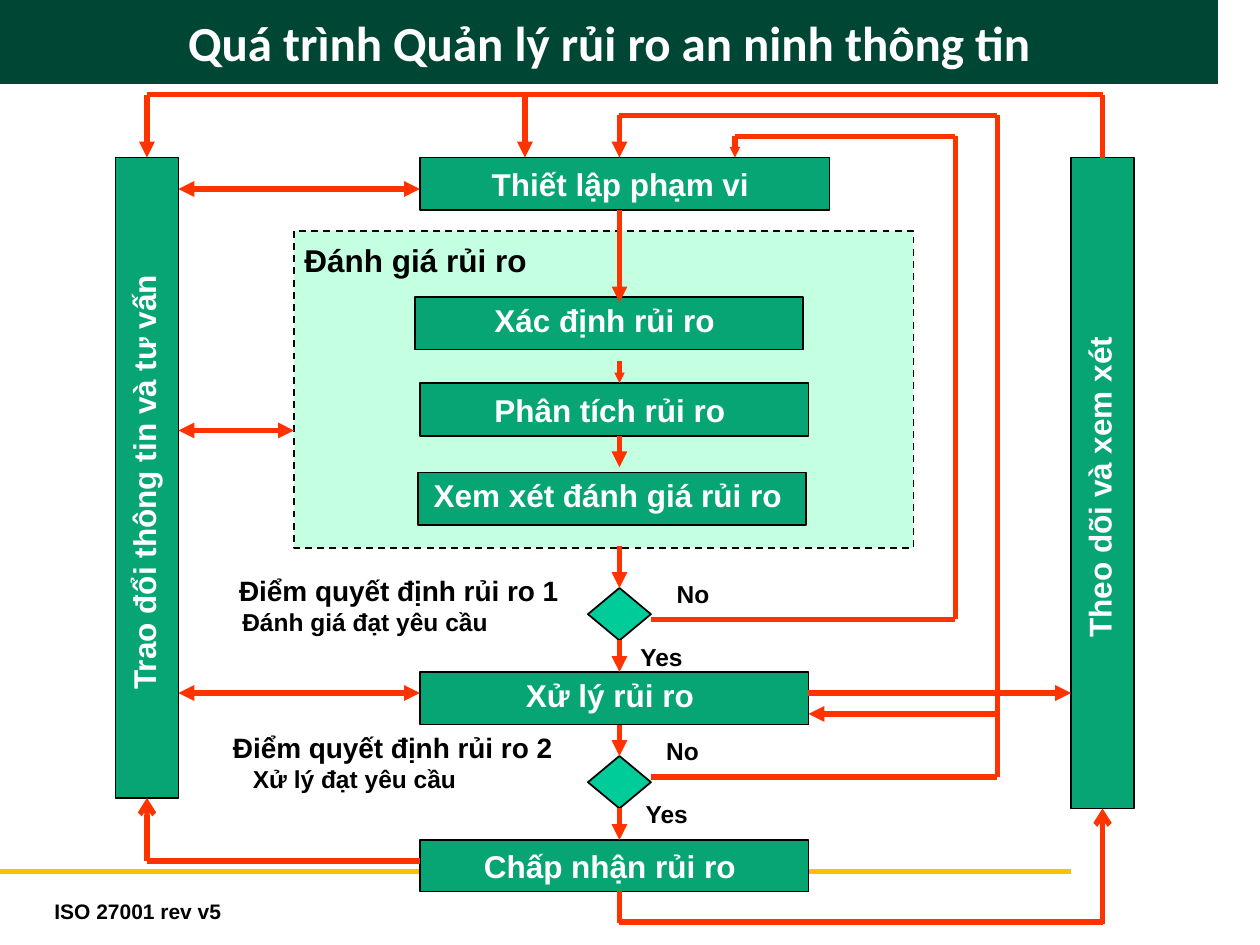
from collections import namedtuple

from pptx import Presentation
from pptx import util as u
from pptx.dml.color import RGBColor
from pptx.enum import dml, shapes, text
from pptx.oxml import xmlchemy

SCALE = u.Inches(1) // 120  # 120 px to the inch
GREEN, RED, BLACK, WHITE = "07A574", "FF3300", "000000", "FFFFFF"
TOP, LEFT, BOTTOM, RIGHT = range(4)
CENTER, START = text.PP_ALIGN.CENTER, text.PP_ALIGN.LEFT

Box = namedtuple("Box", "x y w h")


def px(value):
    return u.Emu(round(value * SCALE))


def color(hex_string):
    return RGBColor.from_string(hex_string)


def inside(box, dx, dy, w, h):
    return Box(box.x + dx, box.y + dy, w, h)


def write(shape, lines, align=CENTER, hue=BLACK, font="Arial", wrap=False,
          anchor=text.MSO_ANCHOR.MIDDLE, spacing=None, tight=False):
    """Each line is (wording, point size); tight text has no insets."""
    frame = shape.text_frame
    frame.word_wrap = wrap
    frame.vertical_anchor = anchor
    if tight:
        frame.margin_left = frame.margin_right = 0
        frame.margin_top = frame.margin_bottom = 0
    for i, (wording, size) in enumerate(lines):
        paragraph = frame.add_paragraph() if i else frame.paragraphs[0]
        paragraph.alignment = align
        paragraph.line_spacing = spacing
        run = paragraph.add_run()
        run.text = wording
        run.font.size, run.font.bold, run.font.name = u.Pt(size), True, font
        run.font.color.rgb = color(hue)
    return frame


def shape_in(slide, box, fill, kind="RECTANGLE", outline=BLACK):
    shape = slide.shapes.add_shape(shapes.MSO_SHAPE[kind], *map(px, box))
    shape.shadow.inherit = False
    shape.fill.solid()
    shape.fill.fore_color.rgb = color(fill)
    if outline:
        shape.line.color.rgb = color(outline)
        shape.line.width = u.Pt(1)
    else:
        shape.line.fill.background()
    return shape


def label(slide, box, lines, **style):
    holder = slide.shapes.add_textbox(*map(px, box))
    return write(holder, lines, **style)


def line(slide, box, start, end, head=None, tail=None, hue=RED,
         begin_at=None, end_at=None, small=False):
    """begin_at and end_at are (shape, site); ends keep the given points."""
    ends = [px(v) for v in (box.x + start[0], box.y + start[1],
                            box.x + end[0], box.y + end[1])]
    link = slide.shapes.add_connector(shapes.MSO_CONNECTOR.STRAIGHT, *ends)
    link.line.color.rgb = color(hue)
    link.line.width = u.Pt(3)
    properties = link._element.spPr
    for tag, arrow in (("a:headEnd", head), ("a:tailEnd", tail)):
        if arrow:
            mark = xmlchemy.OxmlElement(tag)
            mark.set("type", arrow)
            if small:
                mark.set("w", "sm")
                mark.set("len", "sm")
            properties.get_or_add_ln().append(mark)
    properties.append(xmlchemy.OxmlElement("a:effectLst"))
    if begin_at:
        link.begin_connect(*begin_at)
    if end_at:
        link.end_connect(*end_at)
    link.begin_x, link.begin_y, link.end_x, link.end_y = ends


def footer(slide, box):
    line(slide, box, (0, 0), (box.w, 0), hue="FFC000")
    label(slide, inside(box, 40, 20, 430, 36), [("ISO 27001 rev v5", 12)],
          align=START, anchor=text.MSO_ANCHOR.TOP, wrap=True)


def header(slide, box):
    band = shape_in(slide, box, "004635", outline=None)
    write(band, [("Quá trình Quản lý rủi ro an ninh thông tin", 28)],
          hue=WHITE, font="Calibri", wrap=True)


def step(slide, box, wording, spacing=None):
    block = shape_in(slide, box, GREEN)
    write(block, [(wording + " ", 18)], hue=WHITE, spacing=spacing)
    return block


def side_bar(slide, box, wording):
    # Drawn lying down, then turned a quarter to the left
    lying = Box(box.x + (box.w - box.h) / 2, box.y + (box.h - box.w) / 2,
                box.h, box.w)
    bar = step(slide, lying, wording, spacing=0.8)
    bar.rotation = 270
    return bar


def assessment(slide, box):
    panel = shape_in(slide, box, "C5FFE2")
    panel.line.dash_style = dml.MSO_LINE.DASH
    label(slide, inside(box, 10, 10, 270, 36), [("Đánh giá rủi ro", 18)],
          align=START, anchor=text.MSO_ANCHOR.TOP, wrap=True, tight=True)
    step(slide, inside(box, 115, 63, 370, 50), "Xác định rủi ro", 0.8)
    step(slide, inside(box, 120, 145, 370, 50), "Phân tích rủi ro")
    step(slide, inside(box, 118, 230, 370, 50), "Xem xét đánh giá rủi ro", 0.8)


def decision(slide, box, question, heading_align, question_box, no_box, yes_box):
    diamond = shape_in(slide, box, "00CC99", "DIAMOND")
    frame = label(slide, inside(box, *question_box), question, align=START,
                  anchor=text.MSO_ANCHOR.TOP, wrap=True)
    heading, detail = frame.paragraphs
    heading.alignment = heading_align
    detail._p.get_or_add_pPr().set("marL", str(px(19)))
    for wording, place in (("No", no_box), ("Yes", yes_box)):
        label(slide, inside(box, *place), [(wording, 14)], tight=True)
    return diamond


def main_flow(slide, box, decisions):
    first, second = decisions
    x = box.w // 2
    stops = [  # top, bottom, shape joined at the start, shape joined at the end
        (200, 288, None, None), (344, 365, None, None), (415, 445, None, None),
        (520, 560, None, (first, TOP)), (610, 640, (first, BOTTOM), None),
        (690, 720, None, (second, TOP)), (770, 800, (second, BOTTOM), None),
    ]
    for top, bottom, begin_at, end_at in stops:
        line(slide, box, (x, top), (x, bottom), tail="triangle",
             begin_at=begin_at, end_at=end_at, small=bottom - top < 25)


def exchanges(slide, box):
    for y, right in ((180, 400), (410, 280), (660, 400)):
        line(slide, box, (170, y), (right, y), "triangle", "triangle")
    line(slide, box, (770, 660), (1020, 660), tail="triangle")


def feedback(slide, box, advice, review):
    # The bars are turned, so their upper end is the right site
    # Review back to advice and scope
    line(slide, box, (140, 90), (1050, 90))
    line(slide, box, (140, 90), (140, 150), tail="triangle", end_at=(advice, RIGHT))
    line(slide, box, (1050, 90), (1050, 150), end_at=(review, RIGHT))
    line(slide, box, (500, 90), (500, 150), tail="triangle")
    # "No" loops back to the scope: column, top, bottom, entry
    for column, top, bottom, entry in ((950, 110, 740, 590), (910, 130, 590, 700)):
        line(slide, box, (entry, top), (column, top))
        line(slide, box, (620, bottom), (column, bottom))
        line(slide, box, (column, bottom), (column, top))
        line(slide, box, (entry, top), (entry, 150), tail="triangle",
             small=150 - top < 25)
    line(slide, box, (770, 680), (950, 680), head="triangle")
    # Accepted risk on to both bars
    line(slide, box, (140, 820), (400, 820))
    line(slide, box, (140, 760), (140, 820), head="arrow", begin_at=(advice, LEFT))
    line(slide, box, (590, 849), (590, 879))
    line(slide, box, (590, 878), (1050, 878))
    line(slide, box, (1050, 770), (1050, 880), head="arrow", begin_at=(review, LEFT))


def main():
    deck = Presentation()
    deck.slide_width, deck.slide_height = px(1200), px(900)
    slide = deck.slides.add_slide(deck.slide_layouts[6])
    flow = Box(0, 0, 1180, 900)

    footer(slide, Box(0, 830, 1020, 70))
    header(slide, Box(0, 0, 1160, 80))
    review = side_bar(slide, Box(1020, 150, 60, 620), "Theo dõi và xem xét")
    advice = side_bar(slide, Box(110, 150, 60, 610), "Trao đổi thông tin và tư vấn")
    assessment(slide, Box(280, 220, 590, 302))

    # Steps outside the assessment
    step(slide, Box(400, 150, 390, 50), "Thiết lập phạm vi")
    step(slide, Box(400, 640, 370, 50), "Xử lý rủi ro", 0.8)
    step(slide, Box(400, 800, 370, 49), "Chấp nhận rủi ro")

    decisions = [
        decision(slide, Box(560, 560, 60, 50),
                 [("Điểm quyết định rủi ro 1", 16), ("Đánh giá đạt yêu cầu", 14)],
                 CENTER, (-360, -20, 360, 72), (70, -10, 60, 30), (40, 50, 60, 30)),
        decision(slide, Box(560, 720, 60, 50),
                 [("Điểm quyết định rủi ro 2", 16), ("Xử lý đạt yêu cầu", 14)],
                 START, (-350, -30, 330, 100), (60, -20, 60, 30), (50, 40, 50, 30)),
    ]
    main_flow(slide, flow, decisions)
    exchanges(slide, flow)
    feedback(slide, flow, advice, review)
    deck.save("out.pptx")


if __name__ == "__main__":
    main()
